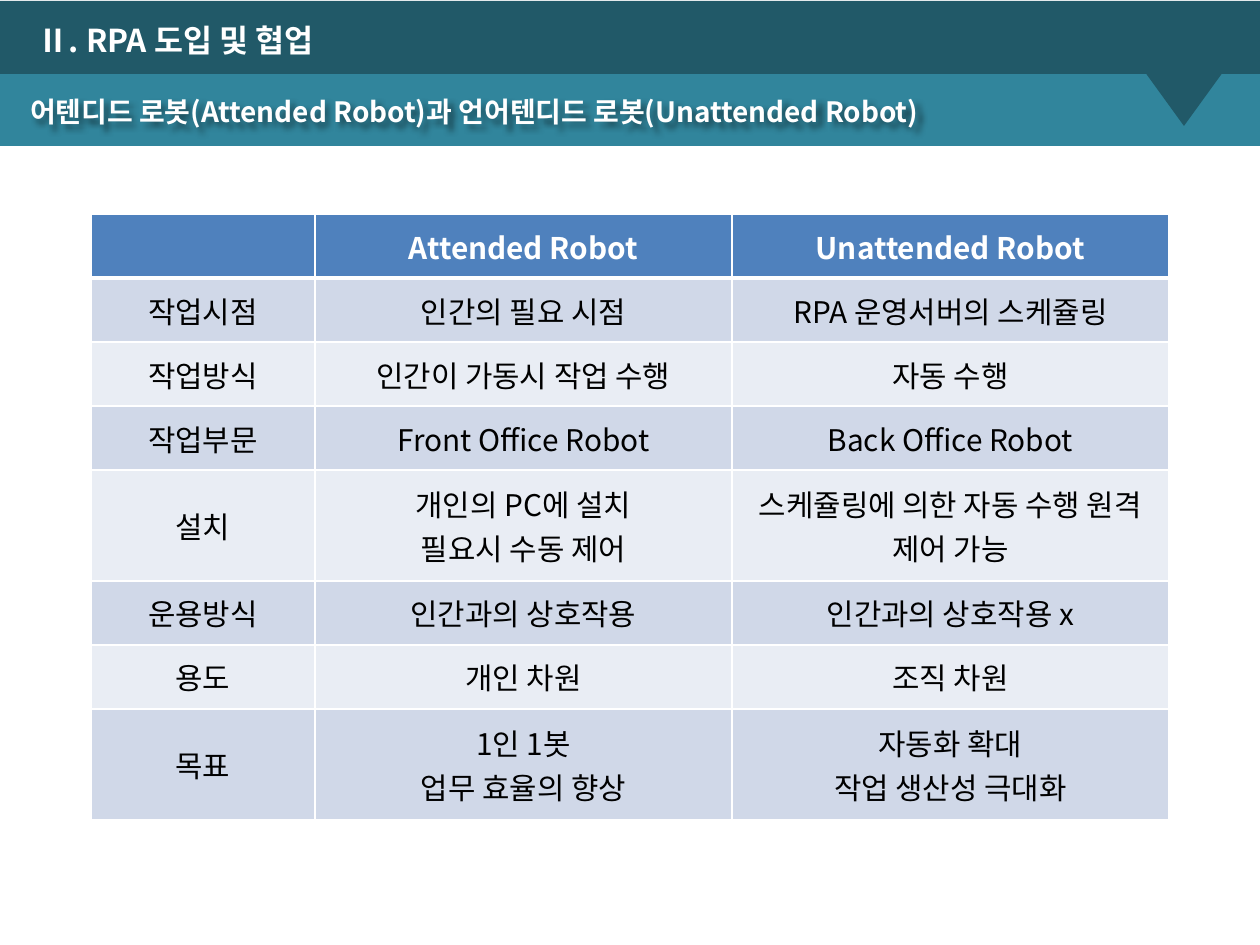
from lxml.etree import SubElement
from pptx import Presentation
from pptx.dml.color import RGBColor
from pptx.enum.shapes import MSO_SHAPE
from pptx.enum.text import MSO_ANCHOR, MSO_AUTO_SIZE, PP_ALIGN
from pptx.oxml import parse_xml
from pptx.oxml.ns import nsdecls, qn
from pptx.util import Pt

PX = 914400 / 126
FONT = "Noto Sans CJK KR"
COLORS = {
    "dark_teal": "215968",
    "teal": "31859C",
    "header": "4F81BD",
    "odd_row": "D0D8E8",
    "even_row": "E9EDF4",
    "white": "FFFFFF",
    "black": "000000",
}


def px(*lengths):
    return [round(length * PX) for length in lengths]


def format_text(text_frame, size, color, bold, alignment):
    for paragraph in text_frame.paragraphs:
        paragraph.alignment = alignment
        font = paragraph.font
        font.size = Pt(size)
        font.bold = bold
        font.color.rgb = RGBColor.from_string(COLORS[color])
        font.name = FONT
        properties = paragraph._p.pPr.find(qn("a:defRPr"))
        SubElement(properties, qn("a:ea"), typeface=FONT)


presentation = Presentation()
presentation.slide_width, presentation.slide_height = px(1260, 945)
slide = presentation.slides.add_slide(presentation.slide_layouts[5])

for kind, box, color in [
    (MSO_SHAPE.RECTANGLE, (-1, 1, 1261, 144), "dark_teal"),
    (MSO_SHAPE.RECTANGLE, (0, 74, 1260, 72), "teal"),
    (MSO_SHAPE.DOWN_ARROW, (1139, 23, 90, 103), "dark_teal"),
]:
    shape = slide.shapes.add_shape(kind, *px(*box))
    shape.shadow.inherit = False
    shape.fill.solid()
    shape.fill.fore_color.rgb = RGBColor.from_string(COLORS[color])
    shape.line.fill.background()
    if kind == MSO_SHAPE.DOWN_ARROW:
        shape.adjustments[0] = 0.55
        shape.adjustments[1] = 0.69

chapter = slide.shapes.add_textbox(*px(25, 15, 330, 50)).text_frame
chapter.word_wrap = False
chapter.auto_size = MSO_AUTO_SIZE.SHAPE_TO_FIT_TEXT
chapter.text = "Ⅱ. RPA 도입 및 협업"
format_text(chapter, 18, "white", True, PP_ALIGN.LEFT)

title = slide.shapes.title
title.left, title.top, title.width, title.height = px(14, 78, 1125, 60)
title.fill.background()
title._element.spPr.append(parse_xml(
    f'<a:effectLst {nsdecls("a")}>'
    '<a:outerShdw blurRad="38100" dist="38100" dir="2700000" algn="tl">'
    '<a:srgbClr val="000000"><a:alpha val="43000"/></a:srgbClr>'
    '</a:outerShdw></a:effectLst>'
))
slide.shapes._spTree.append(title._element)
heading = title.text_frame
heading.text = "어텐디드 로봇(Attended Robot)과 언어텐디드 로봇(Unattended Robot)"
heading.word_wrap = True
heading.auto_size = MSO_AUTO_SIZE.NONE
heading.vertical_anchor = MSO_ANCHOR.MIDDLE
heading.margin_left, heading.margin_right = px(16, 16)
heading.margin_top, heading.margin_bottom = px(9, 9)
heading.paragraphs[0].line_spacing = 1.2
format_text(heading, 16, "white", True, PP_ALIGN.LEFT)

rows = [
    ("", "Attended Robot", "Unattended Robot"),
    ("작업시점", "인간의 필요 시점", "RPA 운영서버의 스케쥴링"),
    ("작업방식", "인간이 가동시 작업 수행", "자동 수행"),
    ("작업부문", "Front Office Robot", "Back Office Robot"),
    ("설치", "개인의 PC에 설치\n필요시 수동 제어", "스케쥴링에 의한 자동 수행 원격 제어 가능"),
    ("운용방식", "인간과의 상호작용", "인간과의 상호작용 x"),
    ("용도", "개인 차원", "조직 차원"),
    ("목표", "1인 1봇\n업무 효율의 향상", "자동화 확대\n작업 생산성 극대화"),
]
table = slide.shapes.add_table(len(rows), 3, *px(91, 214, 1078, 606)).table
for column, width in zip(table.columns, px(224, 417, 437)):
    column.width = width

for row_index, texts in enumerate(rows):
    is_header = row_index == 0
    is_tall = any("\n" in text for text in texts)
    table.rows[row_index].height = px(111 if is_tall else 64)[0]
    if is_header:
        fill_color = "header"
    else:
        fill_color = "odd_row" if row_index % 2 else "even_row"
    border_widths = {
        "lnL": 1,
        "lnR": 1,
        "lnT": 3 if row_index == 1 else 1,
        "lnB": 3 if is_header else 1,
    }
    for column_index, text in enumerate(texts):
        cell = table.cell(row_index, column_index)
        cell.text = text
        cell.vertical_anchor = MSO_ANCHOR.MIDDLE
        format_text(cell.text_frame, 17, "white" if is_header else "black",
                    is_header, PP_ALIGN.CENTER)
        cell_properties = cell._tc.get_or_add_tcPr()
        for side, width in border_widths.items():
            cell_properties.append(parse_xml(
                f'<a:{side} {nsdecls("a")} w="{Pt(width)}"><a:solidFill>'
                f'<a:srgbClr val="{COLORS["white"]}"/></a:solidFill></a:{side}>'
            ))
        cell.fill.solid()
        cell.fill.fore_color.rgb = RGBColor.from_string(COLORS[fill_color])

presentation.save("out.pptx")
